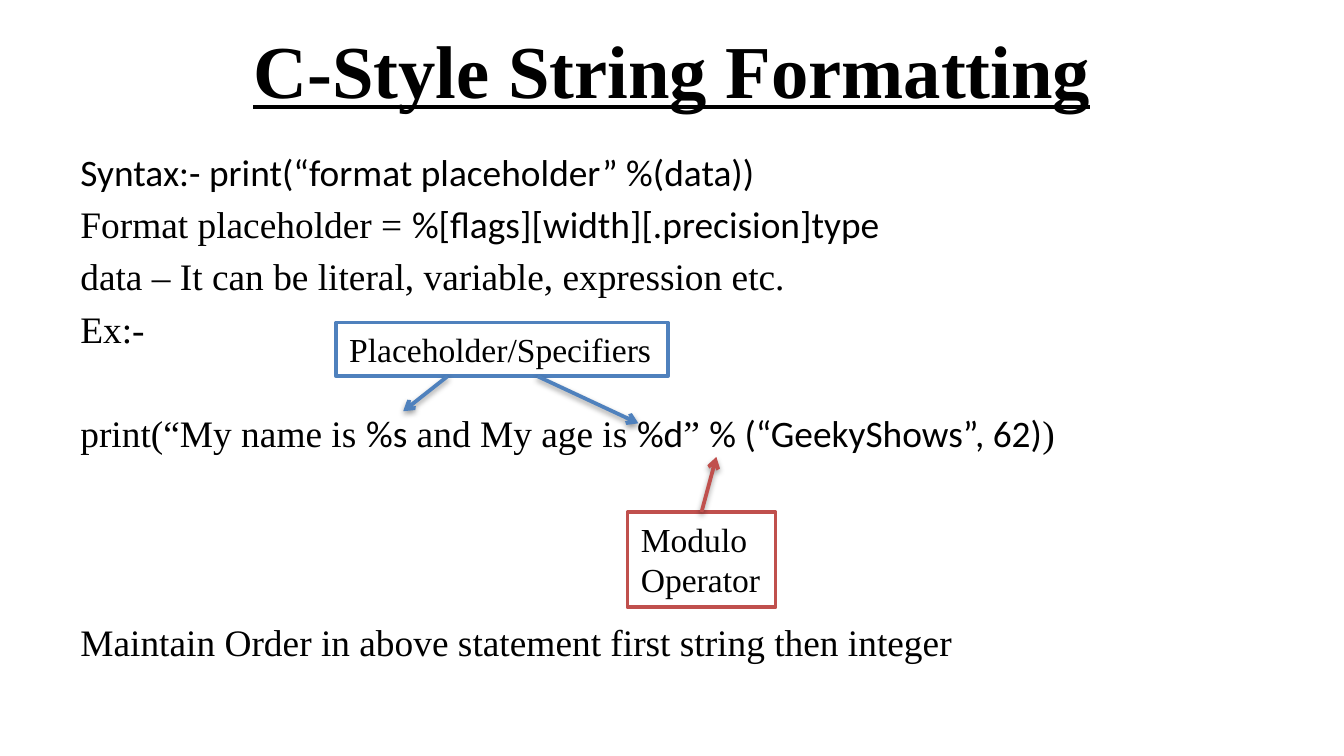
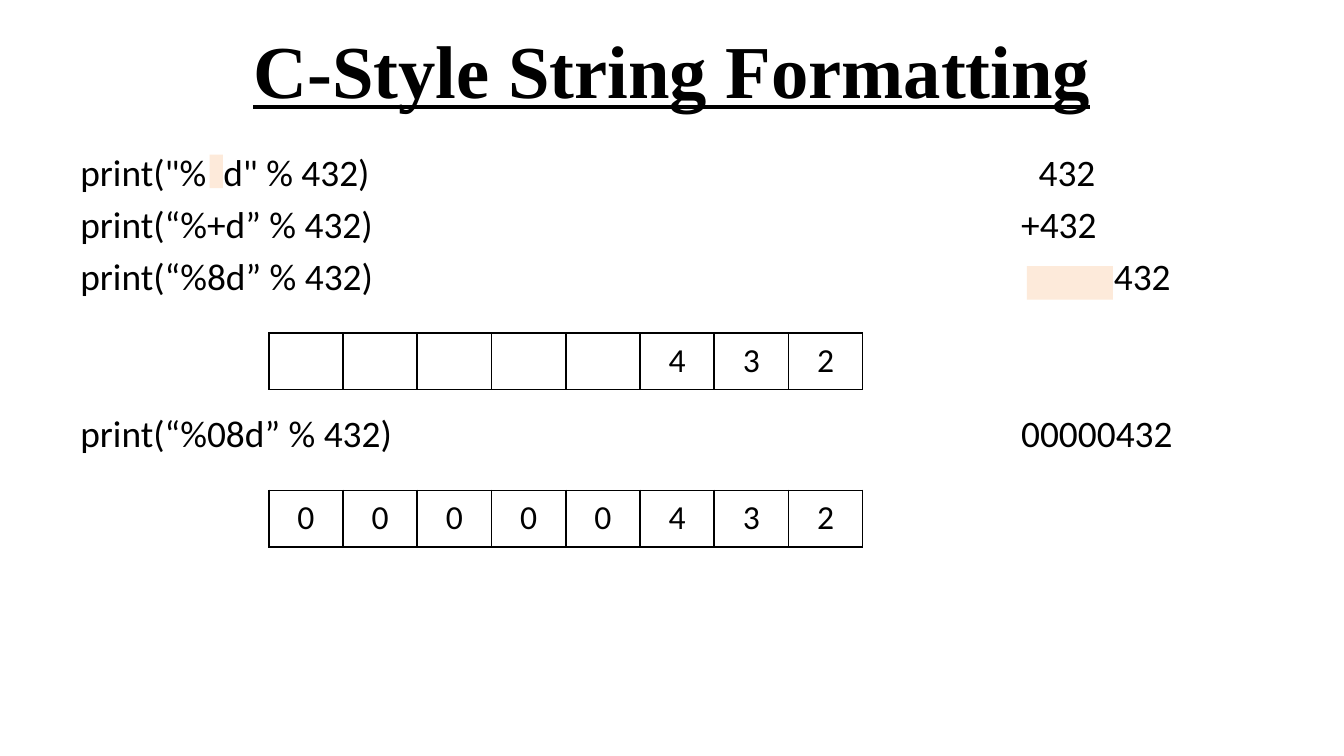
from lxml import etree
from pptx import Presentation
from pptx.dml.color import RGBColor
from pptx.enum.shapes import MSO_CONNECTOR, MSO_SHAPE
from pptx.enum.text import MSO_ANCHOR, MSO_AUTO_SIZE, PP_ALIGN
from pptx.oxml.ns import qn
from pptx.util import Inches, Pt

RECT = MSO_SHAPE.RECTANGLE
STRAIGHT = MSO_CONNECTOR.STRAIGHT
TOP, MIDDLE = MSO_ANCHOR.TOP, MSO_ANCHOR.MIDDLE
LEFT, CENTER = PP_ALIGN.LEFT, PP_ALIGN.CENTER
FIT, FIXED = MSO_AUTO_SIZE.SHAPE_TO_FIT_TEXT, MSO_AUTO_SIZE.NONE

SERIF, SANS = "Times New Roman", "Calibri"
BLACK, WHITE, BLUE, RED, PEACH = "000000", "FFFFFF", "4F81BD", "C0504D", "FDEADA"
TITLE = {"name": SERIF, "size": Pt(40), "bold": True, "underline": True}
BODY = {"size": Pt(20)}
LABEL = {"name": SERIF, "size": Pt(18)}
DIGIT = {"name": SANS, "size": Pt(18)}
LINE_PT, GAP_PT = 24, 4


def rgb(value):
    """Turn a hex string into a colour."""
    return RGBColor.from_string(value)


def child(parent, tag, **attrs):
    """Append an XML element with the given attributes."""
    return etree.SubElement(parent, qn(tag), {k: str(v) for k, v in attrs.items()})


class Deck:
    """Hold the presentation, its style and the current slide."""

    def __init__(self):
        """Start an empty 16:9 presentation."""
        self.prs = Presentation()
        self.prs.slide_width = Inches(10)
        self.prs.slide_height = Inches(10) * 9 // 16
        self.s = None

    def slide(self, title):
        """Add a slide with its centred title."""
        self.s = self.prs.slides.add_slide(self.prs.slide_layouts[6])
        tf = self.box(0.5, 0.04, 9, 0.94, MIDDLE)
        p = tf.paragraphs[0]
        p.alignment = CENTER
        self.run(p, title, TITLE)

    def box(self, x, y, w, h, anchor=TOP):
        """Add a wrapping text box and return its text frame."""
        tf = self.s.shapes.add_textbox(*map(Inches, (x, y, w, h))).text_frame
        for key, value in {"word_wrap": True, "auto_size": FIXED,
                           "vertical_anchor": anchor}.items():
            setattr(tf, key, value)
        return tf

    def run(self, p, text, fmt):
        """Add a formatted black run to a paragraph."""
        r = p.add_run()
        r.text = text
        for key, value in fmt.items():
            setattr(r.font, key, value)
        r.font.color.rgb = rgb(BLACK)

    def body(self, lines):
        """Write lines of (row, runs, tab) on an even pitch."""
        tf = self.box(0.5, 1.06, 9, 4.17)
        last = 0
        for i, (row, runs, tab) in enumerate(lines):
            p = tf.add_paragraph() if i else tf.paragraphs[0]
            p.line_spacing = Pt(LINE_PT)
            skipped = row - last - 1
            p.space_before = Pt(GAP_PT + skipped * (LINE_PT + GAP_PT) if i else 0)
            if tab:
                tabs = child(p._p.get_or_add_pPr(), "a:tabLst")
                child(tabs, "a:tab", pos=Inches(tab), algn="l")
            for text, font in runs:
                self.run(p, text, {**BODY, "name": font})
            last = row

    def rect(self, x, y, w, h, fill, line=None):
        """Add a plain rectangle."""
        sp = self.s.shapes.add_shape(RECT, *map(Inches, (x, y, w, h)))
        sp.shadow.inherit = False
        sp.fill.solid()
        sp.fill.fore_color.rgb = rgb(fill)
        if line:
            sp.line.color.rgb = rgb(line)
            sp.line.width = Pt(2)
        else:
            sp.line.fill.background()
        return sp

    def label(self, x, y, w, h, lines, color):
        """Add an outlined label."""
        sp = self.rect(x, y, w, h, WHITE, color)
        tf = sp.text_frame
        for key, value in {"word_wrap": False, "auto_size": FIT,
                           "vertical_anchor": TOP}.items():
            setattr(tf, key, value)
        for i, text in enumerate(lines):
            p = tf.add_paragraph() if i else tf.paragraphs[0]
            p.alignment = LEFT
            self.run(p, text, LABEL)
        return sp

    def arrow(self, start, end, color, source=None):
        """Add a shadowed arrow, joined to the top of source if given."""
        c = self.s.shapes.add_connector(STRAIGHT, *map(Inches, start + end))
        if source is not None:
            c.begin_connect(source, 0)
        c.line.color.rgb = rgb(color)
        c.line.width = Pt(2)
        child(c.get_or_add_ln(), "a:tailEnd", type="arrow")
        effects = child(c._element.spPr, "a:effectLst")
        shadow = child(effects, "a:outerShdw", blurRad=Pt(3.1), dist=Pt(1.6),
                       dir=90 * 60000, rotWithShape=0)
        child(child(shadow, "a:srgbClr", val=BLACK), "a:alpha", val=38000)

    def digits(self, y, values):
        """Add a one-row table with a character in each cell."""
        n, w, h = len(values), 4.42, 0.42
        table = self.s.shapes.add_table(1, n, *map(Inches, (2, y, w, h))).table
        table.first_row = table.horz_banding = False
        for col, (cell, text) in enumerate(zip(table.rows[0].cells, values)):
            table.columns[col].width = Inches(w / n)
            tcPr = cell._tc.get_or_add_tcPr()
            for side in "LRTB":
                ln = child(tcPr, f"a:ln{side}", w=Pt(1))
                child(child(ln, "a:solidFill"), "a:srgbClr", val=BLACK)
            cell.fill.background()
            if text.strip():
                p = cell.text_frame.paragraphs[0]
                p.alignment = CENTER
                self.run(p, text, DIGIT)


def syntax_slide(deck):
    """Show the syntax and point out its parts."""
    deck.slide("C-Style String Formatting")
    deck.body([
        (0, [("Syntax:- print(“format placeholder” %(data))", SANS)], None),
        (1, [("Format placeholder = ", SERIF),
             ("%[flags][width][.precision]type", SANS)], None),
        (2, [("data – It can be literal, variable, expression etc.", SERIF)], None),
        (3, [("Ex:-", SERIF)], None),
        (5, [("print(“My name is ", SERIF), ("%s", SANS),
             (" and My age is ", SERIF), ("%d", SANS), ("” ", SERIF),
             ("% (“GeekyShows”, 62)", SANS), (")", SERIF)], None),
        (9, [("Maintain Order in above statement first string then integer",
              SERIF)], None),
    ])
    deck.label(2.5, 2.4, 2.47, 0.4, ["Placeholder/Specifiers"], BLUE)
    deck.arrow((3.33, 2.8), (3, 3.06), BLUE)
    deck.arrow((4, 2.8), (4.75, 3.15), BLUE)
    modulo = deck.label(4.67, 3.81, 1.1, 0.71, ["Modulo", "Operator"], RED)
    deck.arrow((5.22, 3.81), (5.33, 3.4), RED, modulo)


def flags_slide(deck):
    """Show flags and widths beside their output."""
    deck.slide("C-Style String Formatting")
    examples = [
        (0, 'print("%  d" % 432)', "432", 7.13),
        (1, "print(“%+d” % 432)", "+432", 7),
        (2, "print(“%8d” % 432)", "432", 7.69),
        (5, "print(“%08d” % 432)", "00000432", 7),
    ]
    deck.body([(row, [(f"{code}\t{output}", SANS)], tab)
               for row, code, output, tab in examples])
    deck.digits(2.48, "432".rjust(8))
    deck.digits(3.65, "432".zfill(8))
    deck.rect(7.64, 1.98, 0.64, 0.25, PEACH)
    deck.rect(1.56, 1.15, 0.1, 0.25, PEACH)


def main():
    """Build both slides and save them."""
    deck = Deck()
    syntax_slide(deck)
    flags_slide(deck)
    deck.prs.save("out.pptx")


if __name__ == "__main__":
    main()
